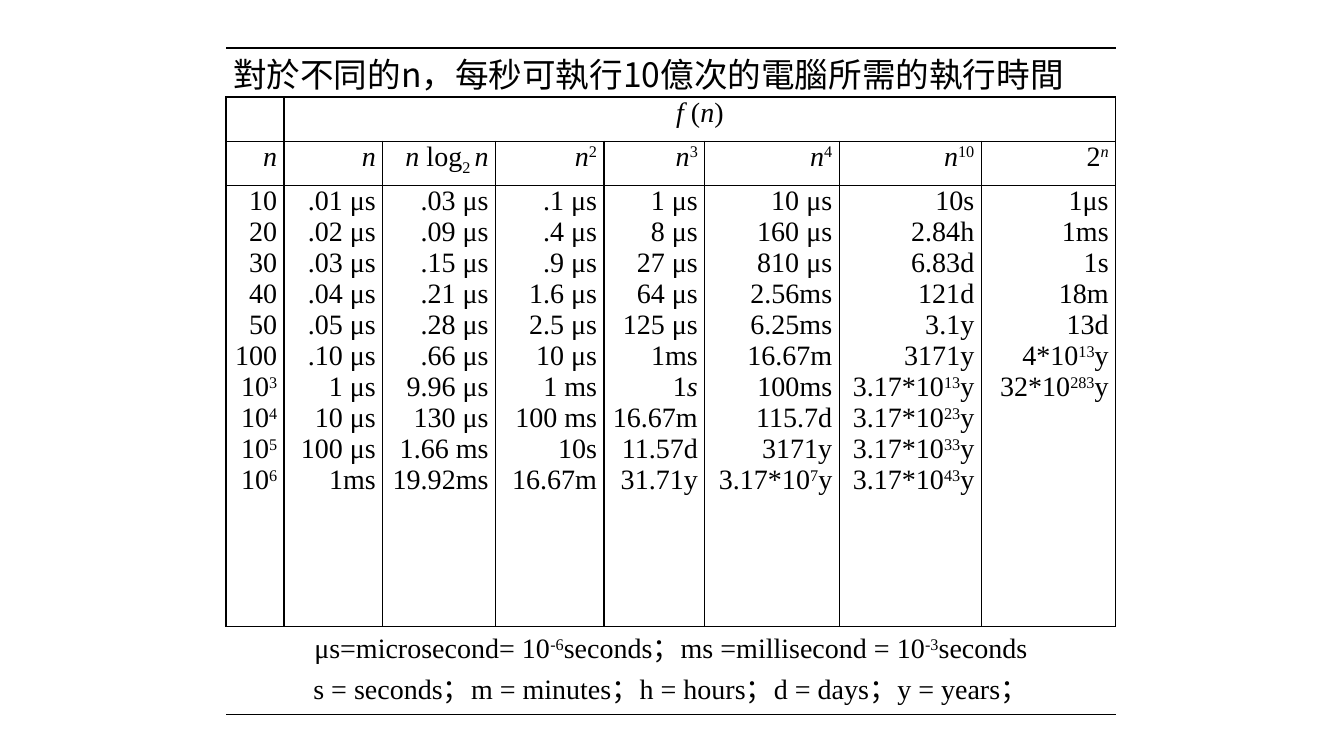
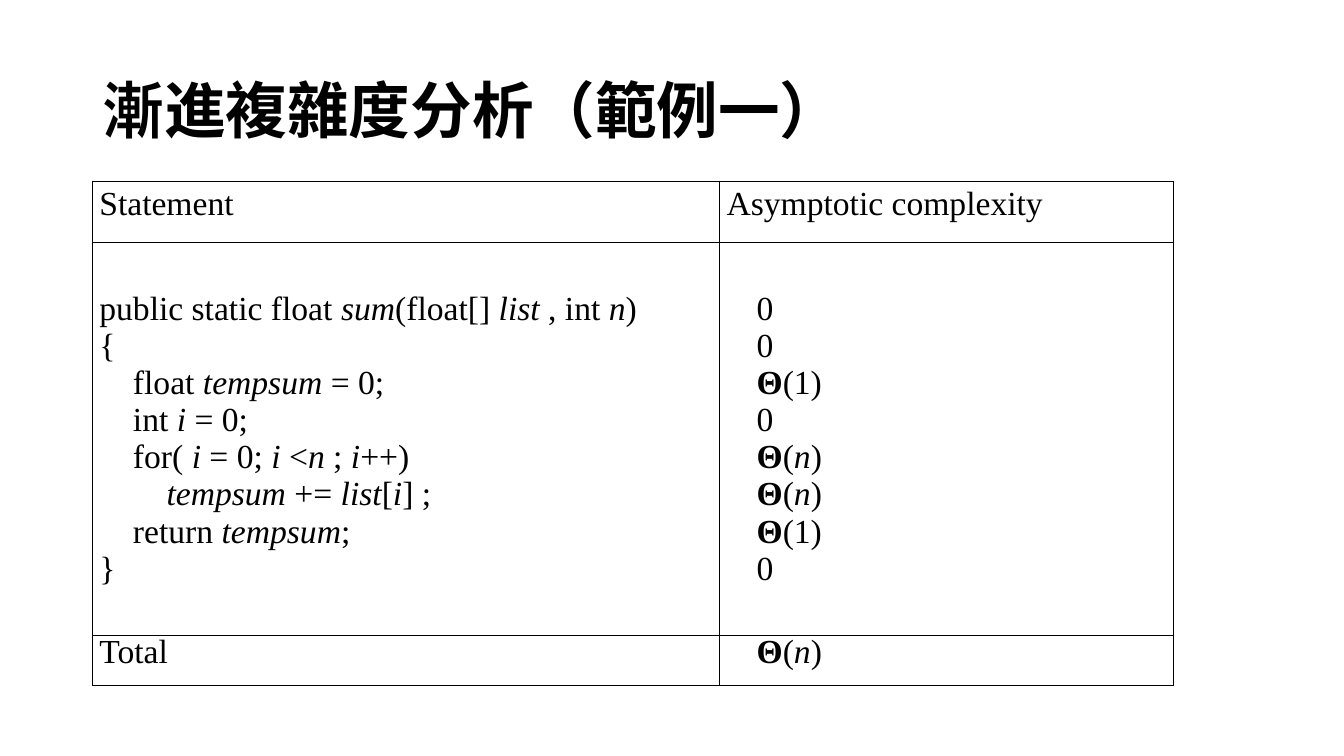
from itertools import groupby, zip_longest

from lxml import etree
from pptx import Presentation
from pptx.dml.color import RGBColor
from pptx.enum.text import MSO_ANCHOR, PP_ALIGN
from pptx.oxml.ns import qn
from pptx.util import Pt

LEFT, CENTER, RIGHT = PP_ALIGN.LEFT, PP_ALIGN.CENTER, PP_ALIGN.RIGHT
TOP, MIDDLE = MSO_ANCHOR.TOP, MSO_ANCHOR.MIDDLE
BLACK = RGBColor(0x00, 0x00, 0x00)
SERIF, SANS = "Times New Roman", "Noto Sans CJK TC"
THIN, THICK = 1, 1.5
LAYOUT_TITLE_ONLY, LAYOUT_BLANK = 5, 6
CELL_INSET = 5
CODE_INDENT = 24
COST_INDENT = 21.5
TIGHT_LINE = Pt(15)

# Text markup: _italic_  |bold|  ^superscript^  ~subscript~
MARKS = "_|^~"
BASELINES = {"^": "30000", "~": "-25000"}

# Running times
TIMES_TITLE = "對於不同的n，每秒可執行10億次的電腦所需的執行時間"
TIMES_GROUP = "_f _(_n_)"
TIMES_HEADERS = ["_n_", "_n_", "_n_ log~2 ~_n_", "_n_^2^", "_n_^3^", "_n_^4^", "_n_^10^", "2^_n_^"]
TIMES = [
    ("10", ".01 μs", ".03 μs", ".1 μs", "1 μs", "10 μs", "10s", "1μs"),
    ("20", ".02 μs", ".09 μs", ".4 μs", "8 μs", "160 μs", "2.84h", "1ms"),
    ("30", ".03 μs", ".15 μs", ".9 μs", "27 μs", "810 μs", "6.83d", "1s"),
    ("40", ".04 μs", ".21 μs", "1.6 μs", "64 μs", "2.56ms", "121d", "18m"),
    ("50", ".05 μs", ".28 μs", "2.5 μs", "125 μs", "6.25ms", "3.1y", "13d"),
    ("100", ".10 μs", ".66 μs", "10 μs", "1ms", "16.67m", "3171y", "4*10^13^y"),
    ("10^3^", "1 μs", "9.96 μs", "1 ms", "1_s_", "100ms", "3.17*10^13^y", "32*10^283^y"),
    ("10^4^", "10 μs", "130 μs", "100 ms", "16.67m", "115.7d", "3.17*10^23^y"),
    ("10^5^", "100 μs", "1.66 ms", "10s", "11.57d", "3171y", "3.17*10^33^y"),
    ("10^6^", "1ms", "19.92ms", "16.67m", "31.71y", "3.17*10^7^y", "3.17*10^43^y"),
]
UNITS = [
    "μs=microsecond= 10^-6^seconds；ms =millisecond = 10^-3^seconds",
    "s = seconds；m = minutes；h = hours；d = days；y = years；",
]
TIMES_WIDTHS = [41.5, 70.5, 80.5, 77.5, 72, 96, 101.5, 96]
TIMES_HEIGHTS = [31.5, 31.5, 31.5, 315, 63]

# Complexity analysis: indent level, statement, cost
ANALYSIS_TITLE = "漸進複雜度分析（範例一）"
ANALYSIS_HEADERS = ["Statement", "Asymptotic complexity"]
CONSTANT, LINEAR = "|Θ|(1)", "|Θ|(_n_)"
STATEMENTS = [
    (0, "public static float _sum_(float[] _list _, int _n_)", "0"),
    (0, "{", "0"),
    (1, "float _tempsum_ = 0;", CONSTANT),
    (1, "int _i _= 0;", "0"),
    (1, "for( _i_ = 0; _i_ <_n_ ; _i_++)", LINEAR),
    (2, "_tempsum_ += _list_[_i_] ;", LINEAR),
    (1, "return _tempsum_;", CONSTANT),
    (0, "}", "0"),
]
TOTAL = ["Total", LINEAR]
ANALYSIS_WIDTHS = [448, 324]
ANALYSIS_HEIGHTS = [43.5, 281, 35.5]


def style_run(run, size, latin, bold=False, italic=False):
    font = run.font
    font.size, font.name, font.bold, font.italic = Pt(size), latin, bold, italic
    font.color.rgb = BLACK
    east_asian = etree.Element(qn("a:ea"), typeface=SANS)
    run._r.get_or_add_rPr().find(qn("a:latin")).addnext(east_asian)


def add_marked_text(paragraph, markup, size, latin):
    active, styled = set(), []
    for character in markup:
        if character in MARKS:
            active ^= {character}
        else:
            styled.append((character, "".join(sorted(active))))
    for marks, group in groupby(styled, key=lambda pair: pair[1]):
        run = paragraph.add_run()
        run.text = "".join(character for character, _ in group)
        style_run(run, size, latin, "|" in marks, "_" in marks)
        for mark, baseline in BASELINES.items():
            if mark in marks:
                run._r.get_or_add_rPr().set("baseline", baseline)


def fill_cell(cell, lines, size, latin=SERIF, align=LEFT, anchor=TOP, indents=None, spacing=None):
    cell.vertical_anchor = anchor
    for index, line in enumerate(lines):
        frame = cell.text_frame
        paragraph = frame.add_paragraph() if index else frame.paragraphs[0]
        paragraph.alignment = align
        if spacing:
            paragraph.line_spacing = spacing
        if indents:
            paragraph._p.get_or_add_pPr().set("marL", str(Pt(indents[index])))
        add_marked_text(paragraph, line, size, latin)


def set_borders(cell, left=THIN, right=THIN, top=THIN, bottom=THIN):
    properties = cell._tc.get_or_add_tcPr()
    for side, width in zip("LRTB", (left, right, top, bottom)):
        line = etree.SubElement(properties, qn(f"a:ln{side}"), w=str(Pt(width)))
        if width:
            fill = etree.SubElement(line, qn("a:solidFill"))
            etree.SubElement(fill, qn("a:srgbClr"), val=str(BLACK))
        else:
            etree.SubElement(line, qn("a:noFill"))


def add_plain_table(slide, left, top, widths, heights, borders_at):
    """Add an unfilled table; borders_at(row, column) gives border widths."""
    shape = slide.shapes.add_table(len(heights), len(widths), Pt(left), Pt(top),
                                   Pt(sum(widths)), Pt(sum(heights)))
    table = shape.table
    table.first_row = table.horz_banding = False
    for column, width in zip(table.columns, widths):
        column.width = Pt(width)
    for row_index, (row, height) in enumerate(zip(table.rows, heights)):
        row.height = Pt(height)
        for column_index, cell in enumerate(row.cells):
            cell.margin_left = cell.margin_right = Pt(CELL_INSET)
            cell.margin_top = cell.margin_bottom = 0
            set_borders(cell, **borders_at(row_index, column_index))
            cell.fill.background()
    return table


def times_borders(row, column):
    if row == 0:
        return {"left": 0, "right": 0, "top": THICK}
    if row == len(TIMES_HEIGHTS) - 1:
        return {"left": 0, "right": 0, "bottom": THICK}
    return {0: {"right": THICK}, 1: {"left": THICK}}.get(column, {})


def build_times_slide(presentation):
    slide = presentation.slides.add_slide(presentation.slide_layouts[LAYOUT_BLANK])
    table = add_plain_table(slide, 161.5, 34.5, TIMES_WIDTHS, TIMES_HEIGHTS, times_borders)
    last = len(TIMES_WIDTHS) - 1

    # Rows that span columns
    for row, first in ((0, 0), (1, 1), (4, 0)):
        table.cell(row, first).merge(table.cell(row, last))
    fill_cell(table.cell(0, 0), [TIMES_TITLE], 24, SANS)
    fill_cell(table.cell(1, 1), [TIMES_GROUP], 20, align=CENTER)
    units = table.cell(4, 0)
    fill_cell(units, UNITS, 20, align=CENTER)
    units.text_frame.paragraphs[0].space_before = Pt(6)
    units.text_frame.paragraphs[-1].space_after = Pt(6)

    # One cell of values per function
    for column, values in enumerate(zip_longest(*TIMES)):
        fill_cell(table.cell(2, column), [TIMES_HEADERS[column]], 20, align=RIGHT)
        fill_cell(table.cell(3, column), [value for value in values if value], 20, align=RIGHT)


def build_analysis_slide(presentation):
    slide = presentation.slides.add_slide(presentation.slide_layouts[LAYOUT_TITLE_ONLY])

    # Title
    title = slide.shapes.title
    title.left, title.top, title.width, title.height = Pt(66), Pt(29), Pt(828), Pt(104)
    title.text_frame.text = ANALYSIS_TITLE
    title.text_frame.vertical_anchor = MIDDLE
    paragraph = title.text_frame.paragraphs[0]
    paragraph.alignment, paragraph.line_spacing = LEFT, 0.9
    style_run(paragraph.runs[0], 44, SANS, bold=True)

    # Statements and their costs
    table = add_plain_table(slide, 66, 129.5, ANALYSIS_WIDTHS, ANALYSIS_HEIGHTS,
                            lambda row, column: {})
    levels, code, costs = zip(*STATEMENTS)
    code_indents = [level * CODE_INDENT for level in levels]
    cost_indents = [COST_INDENT] * len(costs)
    fill_cell(table.cell(1, 0), code, 24, anchor=MIDDLE, indents=code_indents)
    fill_cell(table.cell(1, 1), costs, 24, anchor=MIDDLE, indents=cost_indents)
    for row, texts, indents in ((0, ANALYSIS_HEADERS, (0, 0)), (2, TOTAL, (0, COST_INDENT))):
        for column, text in enumerate(texts):
            fill_cell(table.cell(row, column), [text], 24, anchor=MIDDLE,
                      indents=[indents[column]], spacing=TIGHT_LINE)


def main():
    presentation = Presentation()
    presentation.slide_width, presentation.slide_height = Pt(960), Pt(540)
    build_times_slide(presentation)
    build_analysis_slide(presentation)
    presentation.save("out.pptx")


if __name__ == "__main__":
    main()
